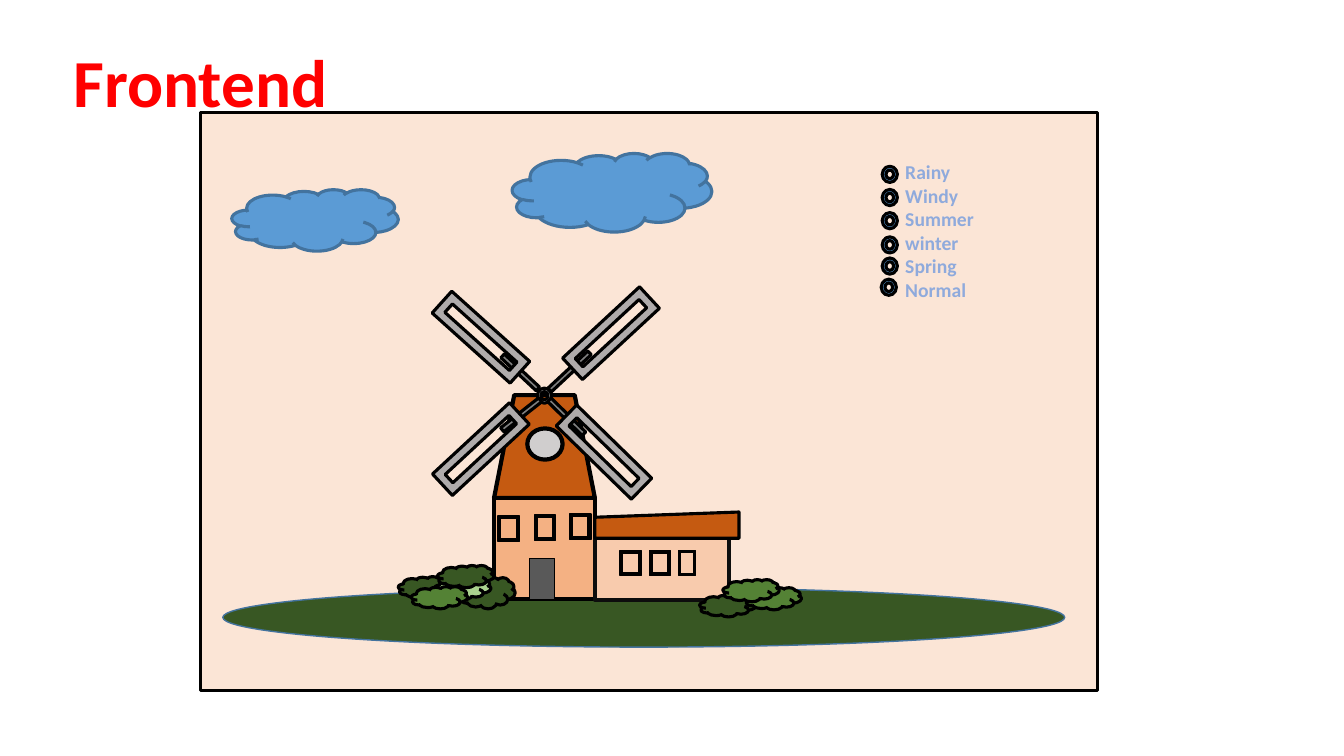
from pptx import Presentation
from pptx import util as u
from pptx.dml.color import RGBColor
from pptx.enum import shapes, text

PX = u.Inches(1) // 100  # 100 px to the inch
KIND = shapes.MSO_SHAPE

BLACK = RGBColor(0x00, 0x00, 0x00)
NEAR_BLACK = RGBColor(0x0D, 0x0D, 0x0D)
RED = RGBColor(0xFF, 0x00, 0x00)
SKY = RGBColor(0xFB, 0xE5, 0xD6)
BLUE = RGBColor(0x5B, 0x9B, 0xD5)
BLUE_EDGE = RGBColor(0x43, 0x73, 0x9E)
PALE_BLUE = RGBColor(0x8F, 0xAA, 0xDC)
DARK_GREEN = RGBColor(0x38, 0x57, 0x23)
GREEN = RGBColor(0x54, 0x82, 0x35)
LIGHT_GREEN = RGBColor(0xA9, 0xD1, 0x8E)
ROOF = RGBColor(0xC5, 0x5A, 0x11)
WALL = RGBColor(0xF4, 0xB1, 0x83)
PALE_WALL = RGBColor(0xF8, 0xCB, 0xAD)
DOOR = RGBColor(0x59, 0x59, 0x59)
SILVER = RGBColor(0xD0, 0xCE, 0xCE)
ARM = RGBColor(0x80, 0x80, 0x80)
SAIL = RGBColor(0xAF, 0xAB, 0xAB)

# Content: boxes are (left, top, width, height) in px
TITLE = "Frontend"
WEATHER = ["Rainy", "Windy", "Summer", "winter", "Spring", "Normal"]
RADIO_BUTTONS = [(875, 165), (875, 188), (875, 211), (875, 235), (875, 256), (874, 277)]
RADIO_SIZE = (15, 16)

TOWER_WINDOWS = [(565, 510, 21, 25), (494, 512, 21, 25), (530, 511, 21, 25)]
ANNEX_WINDOWS = [(615, 546, 21, 25), (644, 546, 21, 25), (673, 546, 17, 25)]

# Box and rotation in degrees
ARMS = [
    ((538, 366, 54, 5), 317),
    ((492, 367, 48, 5), 43.1),
    ((538, 411, 48, 5), 44.4),
    ((493, 409, 48, 5), 321.8),
]
SAIL_SIZE = (104, 29)
SAILS = [((554, 316), 317.2), ((425, 431), 317.2), ((547, 434), 224.3), ((425, 320), 222)]

BUSHES = [
    ((694, 590, 56, 22), DARK_GREEN),
    ((739, 583, 56, 22), GREEN),
    ((717, 575, 56, 22), GREEN),
    ((395, 572, 56, 22), DARK_GREEN),
    ((456, 573, 55, 31), DARK_GREEN),
    ((431, 573, 56, 22), LIGHT_GREEN),
    ((408, 582, 56, 22), GREEN),
    ((434, 561, 56, 22), DARK_GREEN),
]
CLOUDS = [(230, 188, 165, 61), (508, 152, 198, 78)]

deck = Presentation()
deck.slide_width, deck.slide_height = 1333 * PX, 750 * PX
page = deck.slides.add_slide(deck.slide_layouts[6])


def draw(kind, box, fill, edge=BLACK, weight=2.25, turn=0, adjust=None):
    shape = page.shapes.add_shape(kind, *(side * PX for side in box))
    shape.shadow.inherit = False
    shape.fill.solid()
    shape.fill.fore_color.rgb = fill
    shape.line.color.rgb = edge
    shape.line.width = u.Pt(weight)
    shape.rotation = turn
    if adjust is not None:
        shape.adjustments[0] = adjust


def write(lines, box, size, color, anchor=text.MSO_ANCHOR.TOP, spacing=1.0):
    frame = page.shapes.add_textbox(*(side * PX for side in box)).text_frame
    frame.word_wrap = True
    frame.vertical_anchor = anchor
    for index, line in enumerate(lines):
        para = frame.add_paragraph() if index else frame.paragraphs[0]
        para.line_spacing = spacing
        span = para.add_run()
        span.text = line
        span.font.name = "Calibri"
        span.font.size = u.Pt(size)
        span.font.bold = True
        span.font.color.rgb = color


# Scene, title and ground
draw(KIND.RECTANGLE, (199, 112, 890, 573), SKY)
write([TITLE], (63, 13, 1150, 145), 48, RED, anchor=text.MSO_ANCHOR.MIDDLE, spacing=0.9)
draw(KIND.OVAL, (221, 583, 835, 59), DARK_GREEN, BLUE_EDGE, 1)

# Tower
draw(KIND.FLOWCHART_MANUAL_OPERATION, (490, 392, 100, 102), ROOF, weight=3, turn=180)
draw(KIND.RECTANGLE, (490, 494, 100, 100), WALL, weight=3)
for box in TOWER_WINDOWS:
    draw(KIND.FRAME, box, BLACK, weight=1)
draw(KIND.RECTANGLE, (525, 554, 25, 41), DOOR, weight=1)
draw(KIND.OVAL, (523, 425, 35, 31), SILVER, weight=3)

# Hub, arms and sails
draw(KIND.DONUT, (533, 385, 14, 15), SILVER)
for box, turn in ARMS:
    draw(KIND.RECTANGLE, box, ARM, turn=turn)
for corner, turn in SAILS:
    draw(KIND.FRAME, corner + SAIL_SIZE, SAIL, turn=turn, adjust=0.307)

# Annex
draw(KIND.PARALLELOGRAM, (590, 534, 133, 61), PALE_WALL, NEAR_BLACK, 3, adjust=0)
for box in ANNEX_WINDOWS:
    draw(KIND.FRAME, box, BLACK, weight=1)
draw(KIND.FLOWCHART_MANUAL_INPUT, (590, 508, 143, 26), ROOF)

# Bushes and clouds
for box, color in BUSHES:
    draw(KIND.CLOUD, box, color)
for box in CLOUDS:
    draw(KIND.CLOUD, box, BLUE, BLUE_EDGE)

# Weather choices
for corner in RADIO_BUTTONS:
    draw(KIND.DONUT, corner + RADIO_SIZE, BLUE)
write(WEATHER, (888, 154, 192, 151), 14, PALE_BLUE)

deck.save("out.pptx")
